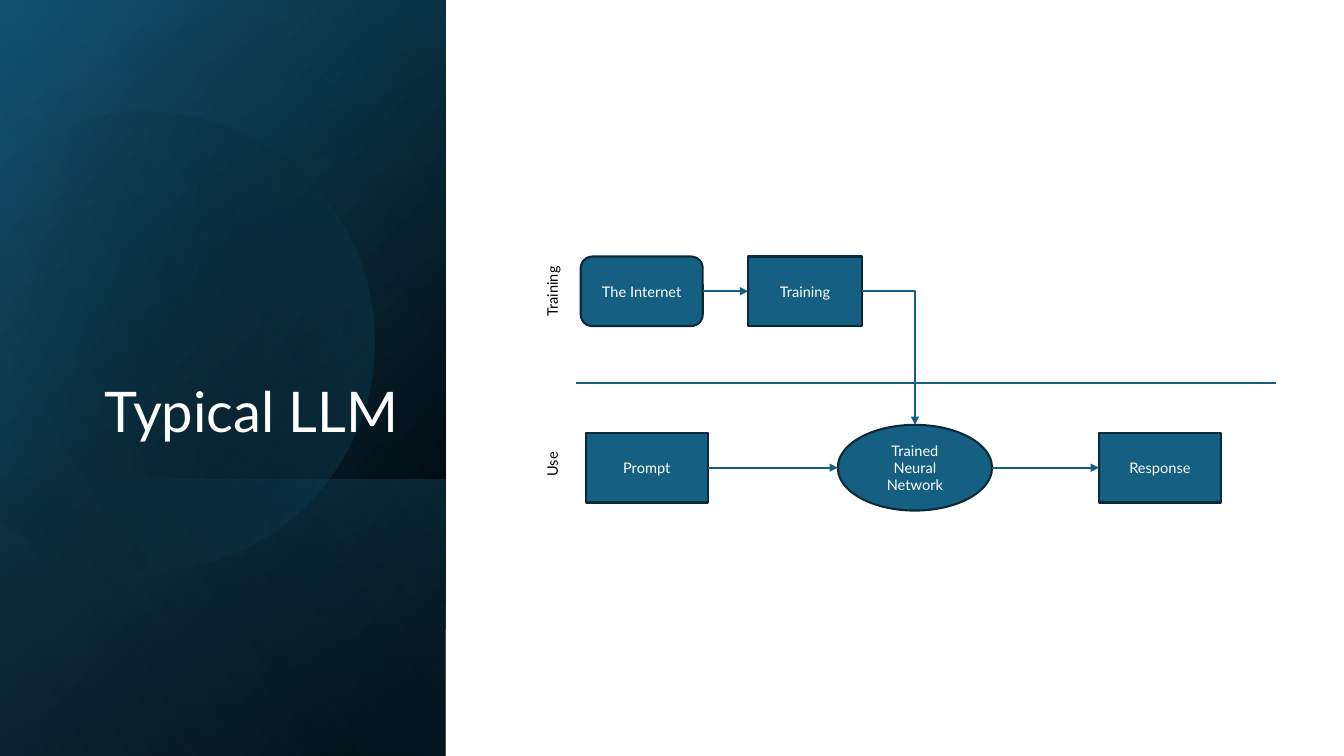
from dataclasses import dataclass
from itertools import pairwise
from math import cos, radians, sin, tan

from lxml.etree import SubElement
from pptx import Presentation
from pptx.dml.color import RGBColor
from pptx.enum.shapes import MSO_CONNECTOR, MSO_SHAPE
from pptx.enum.text import MSO_ANCHOR, MSO_AUTO_SIZE, PP_ALIGN
from pptx.oxml.ns import qn
from pptx.util import Inches, Pt

COLORS = {
    "black": "000000", "white": "FFFFFF", "blue": "156082",
    "deep": "104862", "sky": "46B1E1", "edge": "092A39",
}
FONT = "Lato"
TOP_MID, USE_MID, SPLIT = 2.89, 4.64, 3.8
BOX_H = 0.69


@dataclass
class Stop:
    pos: int
    color: str
    alpha: int = 100


@dataclass
class Panel:
    left: float
    top: float
    width: float
    angle: int
    stops: list[Stop]
    height: float = 4.42


@dataclass
class Node:
    text: str
    left: float
    mid: float
    width: float = 1.21
    height: float = BOX_H
    kind: MSO_SHAPE = MSO_SHAPE.RECTANGLE

    @property
    def right(self) -> float:
        return self.left + self.width


@dataclass
class Label:
    text: str
    mid: float
    width: float


@dataclass
class Link:
    start: tuple[float, float]
    end: tuple[float, float]
    arrow: bool = True
    bent: bool = False


FULL = [
    Panel(-1.54, 1.54, 7.5, 50, [Stop(8, "black"), Stop(100, "deep")]),
    Panel(-1.54, 1.55, 7.5, 30, [Stop(0, "black", 0), Stop(99, "blue", 46)]),
    Panel(0.84, 3.92, 2.74, 130, [Stop(2, "blue", 29), Stop(100, "black", 30)]),
]
GLOW = Panel(-1.54, 1.54, 7.5, 120, [Stop(0, "black", 0), Stop(99, "sky", 11)])
DISC_STOPS = [Stop(29, "black", 0), Stop(100, "blue", 43)]
DISC_TURNS = [-118, -90, 0, 90, 150]

WEB = Node("The Internet", 5.76, TOP_MID, kind=MSO_SHAPE.ROUNDED_RECTANGLE)
TRAIN = Node("Training", 7.42, TOP_MID, width=1.13)
PROMPT = Node("Prompt", 5.81, USE_MID)
MODEL = Node("Trained Neural Network", 8.31, USE_MID, 1.53, 0.85, MSO_SHAPE.OVAL)
REPLY = Node("Response", 10.9, USE_MID)
NODES = [PROMPT, REPLY, MODEL, WEB, TRAIN]
LABELS = [Label("Training", TOP_MID, 0.7), Label("Use", 4.6, 0.45)]
LABEL_X, LABEL_H = 5.48, 0.28


def rgb(name: str) -> RGBColor:
    return RGBColor.from_string(COLORS[name])


def write(frame, text: str, size: float = 10.4, color: str = "white",
          align=PP_ALIGN.CENTER, anchor=MSO_ANCHOR.MIDDLE, wrap: bool = True,
          after: float = 6, spacing: float = 1.0) -> None:
    frame.word_wrap = wrap
    frame.vertical_anchor = anchor
    par = frame.paragraphs[0]
    par.alignment = align
    par.space_after = Pt(after)
    par.line_spacing = spacing
    run = par.add_run()
    run.text = text
    run.font.name = FONT
    run.font.size = Pt(size)
    run.font.color.rgb = rgb(color)


def shade(shape, stops: list[Stop], angle: int) -> None:
    """Give a shape a borderless gradient whose stops may be transparent."""
    shape.shadow.inherit = False
    shape.line.fill.background()
    shape.fill.background()
    props = shape.element.spPr
    grad = SubElement(props, qn("a:gradFill"), rotWithShape="1")
    props.replace(props.find(qn("a:noFill")), grad)
    items = SubElement(grad, qn("a:gsLst"))
    for stop in stops:
        item = SubElement(items, qn("a:gs"), pos=str(stop.pos * 1000))
        color = SubElement(item, qn("a:srgbClr"), val=COLORS[stop.color])
        if stop.alpha < 100:
            SubElement(color, qn("a:alpha"), val=str(stop.alpha * 1000))
    SubElement(grad, qn("a:lin"), ang=str(angle * 60000), scaled="0")


def add_panel(slide, panel: Panel) -> None:
    shape = slide.shapes.add_shape(
        MSO_SHAPE.RECTANGLE, Inches(panel.left), Inches(panel.top),
        Inches(panel.width), Inches(panel.height))
    shape.rotation = 90
    shape.element.spPr.find(qn("a:xfrm")).set("flipH", "1")
    shade(shape, panel.stops, panel.angle)


def add_disc(slide, x: float, y: float, radius: float) -> None:
    """Draw a disc with one side cut off, as Bezier arcs between the turns."""
    def spot(deg: float, pull: float = 0) -> tuple[int, int]:
        """Point on the rim, moved along its tangent by pull radii."""
        c, s = cos(radians(deg)), sin(radians(deg))
        return (Inches(x + radius * (c - pull * s)),
                Inches(y + radius * (s + pull * c)))

    points = []
    for start, end in pairwise(DISC_TURNS):
        pull = 4 / 3 * tan(radians(end - start) / 4)
        points += [spot(start, pull), spot(end, -pull), spot(end)]
    outline = slide.shapes.build_freeform(*spot(DISC_TURNS[0]))
    outline.add_line_segments(points, close=True)
    disc = outline.convert_to_shape()
    lines = list(disc.element.iter(qn("a:lnTo")))
    for first, second, third in zip(lines[::3], lines[1::3], lines[2::3]):
        curve = SubElement(first.getparent(), qn("a:cubicBezTo"))
        first.addprevious(curve)
        for line in (first, second, third):
            curve.append(line[0])
            line.getparent().remove(line)
    disc.rotation = 343.9
    shade(disc, DISC_STOPS, 30)


def add_title(slide, text: str) -> None:
    title = slide.shapes.title
    title.left, title.top = Inches(0.64), Inches(1.84)
    title.width, title.height = Inches(3.41), Inches(2.62)
    write(title.text_frame, text, size=40, align=PP_ALIGN.RIGHT,
          anchor=MSO_ANCHOR.BOTTOM, after=0, spacing=0.9)
    title.element.getparent().append(title.element)


def add_node(slide, node: Node) -> None:
    shape = slide.shapes.add_shape(
        node.kind, Inches(node.left), Inches(node.mid - node.height / 2),
        Inches(node.width), Inches(node.height))
    shape.shadow.inherit = False
    shape.fill.solid()
    shape.fill.fore_color.rgb = rgb("blue")
    shape.line.color.rgb = rgb("edge")
    shape.line.width = Pt(1.5)
    write(shape.text_frame, node.text)


def add_link(slide, link: Link) -> None:
    kind = MSO_CONNECTOR.ELBOW if link.bent else MSO_CONNECTOR.STRAIGHT
    ends = [Inches(value) for value in link.start + link.end]
    line = slide.shapes.add_connector(kind, *ends)
    line.line.color.rgb = rgb("blue")
    line.line.width = Pt(1.5)
    props = line.element.spPr
    if link.bent:
        props.find(qn("a:prstGeom")).set("prst", "bentConnector2")
    if link.arrow:
        SubElement(props.find(qn("a:ln")), qn("a:tailEnd"), type="triangle")
    SubElement(props, qn("a:effectLst"))


def add_label(slide, label: Label) -> None:
    box = slide.shapes.add_textbox(
        Inches(LABEL_X - label.width / 2), Inches(label.mid - LABEL_H / 2),
        Inches(label.width), Inches(LABEL_H))
    box.rotation = 270
    write(box.text_frame, label.text, color="black", align=PP_ALIGN.LEFT,
          anchor=MSO_ANCHOR.TOP, wrap=False)
    box.text_frame.auto_size = MSO_AUTO_SIZE.SHAPE_TO_FIT_TEXT


def main() -> None:
    deck = Presentation()
    deck.slide_width, deck.slide_height = Inches(13.33), Inches(7.5)
    slide = deck.slides.add_slide(deck.slide_layouts[5])
    for panel in FULL:
        add_panel(slide, panel)
    add_disc(slide, x=1.43, y=3.35, radius=2.28)
    add_panel(slide, GLOW)
    add_title(slide, "Typical LLM")
    for node in NODES:
        add_node(slide, node)
    for left, right in [(PROMPT, MODEL), (MODEL, REPLY), (WEB, TRAIN)]:
        add_link(slide, Link((left.right, left.mid), (right.left, right.mid)))
    add_link(slide, Link((5.71, SPLIT), (12.66, SPLIT), arrow=False))
    peak = (MODEL.left + MODEL.width / 2, MODEL.mid - MODEL.height / 2)
    add_link(slide, Link((TRAIN.right, TRAIN.mid), peak, bent=True))
    for label in LABELS:
        add_label(slide, label)
    deck.save("out.pptx")


if __name__ == "__main__":
    main()
